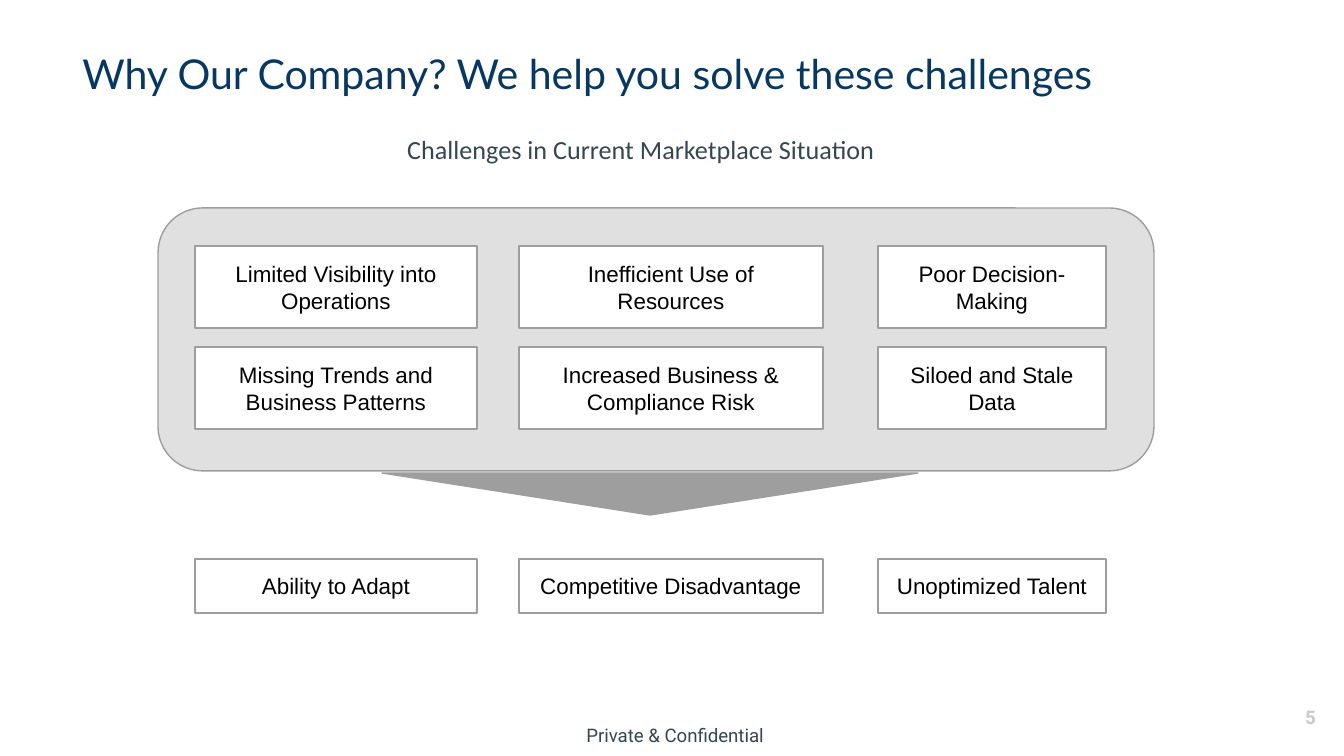
import pptx
import pptx.util
import pptx.dml.color
import pptx.enum.shapes
import pptx.enum.text

TITLE = "Why Our Company? We help you solve these challenges"
SUBTITLE = "Challenges in Current Marketplace Situation"
FOOTER = "Private & Confidential"
PAGE_NUMBER = "5"

CHALLENGES = [
    ["Limited Visibility into Operations", "Inefficient Use of Resources", "Poor Decision-Making"],
    ["Missing Trends and Business Patterns", "Increased Business & Compliance Risk", "Siloed and Stale Data"],
]
OUTCOMES = ["Ability to Adapt", "Competitive Disadvantage", "Unoptimized Talent"]

COLUMNS = [(195, 282), (519, 304), (878, 228)]
CHALLENGE_TOP, CHALLENGE_HEIGHT, CHALLENGE_PITCH = 246, 82, 101
OUTCOME_TOP, OUTCOME_HEIGHT = 559, 54

COLORS = {
    "title": "073763",
    "muted": "37474F",
    "number": "CACACA",
    "text": "000000",
    "panel": "E0E0E0",
    "gray": "9E9E9E",
    "white": "FFFFFF",
}

SHAPES = pptx.enum.shapes.MSO_SHAPE
ALIGN = pptx.enum.text.PP_ALIGN
ANCHOR = pptx.enum.text.MSO_ANCHOR


def px(n):
    return pptx.util.Emu(round(n * 914400 / 134.4))


def rgb(name):
    return pptx.dml.color.RGBColor.from_string(COLORS[name])


def write(sp, text, font, size, color, align=ALIGN.LEFT, anchor=ANCHOR.TOP, bold=False):
    tf = sp.text_frame
    tf.word_wrap = True
    tf.auto_size = pptx.enum.text.MSO_AUTO_SIZE.NONE
    tf.vertical_anchor = anchor
    tf.margin_left = tf.margin_right = tf.margin_top = tf.margin_bottom = pptx.util.Inches(0.1)
    p = tf.paragraphs[0]
    p.text = text
    p.alignment = align
    p.font.name = font
    p.font.size = pptx.util.Pt(size)
    p.font.bold = bold
    p.font.color.rgb = rgb(color)


def add_shape(slide, kind, box, fill=None):
    sp = slide.shapes.add_shape(kind, *map(px, box))
    sp.shadow.inherit = False
    if fill:
        sp.fill.solid()
        sp.fill.fore_color.rgb = rgb(fill)
    else:
        sp.fill.background()
    sp.line.color.rgb = rgb("gray")
    sp.line.width = pptx.util.Pt(0.75)
    return sp


def add_row(slide, labels, top, height, fill=None):
    for (left, width), label in zip(COLUMNS, labels):
        sp = add_shape(slide, SHAPES.RECTANGLE, (left, top, width, height), fill)
        write(sp, label, "Arial", 12, "text", ALIGN.CENTER, ANCHOR.MIDDLE)


def add_text(slide, box, *args, **kwargs):
    write(slide.shapes.add_textbox(*map(px, box)), *args, **kwargs)


def main():
    prs = pptx.Presentation()
    prs.slide_width, prs.slide_height = px(1344), px(756)
    slide = prs.slides.add_slide(prs.slide_layouts[5])

    title = slide.shapes.title
    title.left, title.top, title.width, title.height = map(px, (69, 35, 1091, 85))
    write(title, TITLE, "Lato", 22, "title")
    add_text(slide, (394, 120, 558, 85), SUBTITLE, "Calibri", 14, "muted")

    panel = add_shape(slide, SHAPES.ROUNDED_RECTANGLE, (158, 208, 996, 263), "panel")
    panel.adjustments[0] = 0.17
    for i, labels in enumerate(CHALLENGES):
        add_row(slide, labels, CHALLENGE_TOP + i * CHALLENGE_PITCH, CHALLENGE_HEIGHT, "white")

    arrow = add_shape(slide, SHAPES.ISOSCELES_TRIANGLE, (382, 473, 536, 42), "gray")
    arrow.rotation = 180
    add_row(slide, OUTCOMES, OUTCOME_TOP, OUTCOME_HEIGHT)

    add_text(slide, (534, 710, 282, 38), FOOTER, "Roboto", 10, "muted", ALIGN.CENTER)
    add_text(slide, (1248, 688, 81, 58), PAGE_NUMBER, "Roboto", 10, "number",
             ALIGN.RIGHT, ANCHOR.MIDDLE, bold=True)

    prs.save("out.pptx")


if __name__ == "__main__":
    main()
